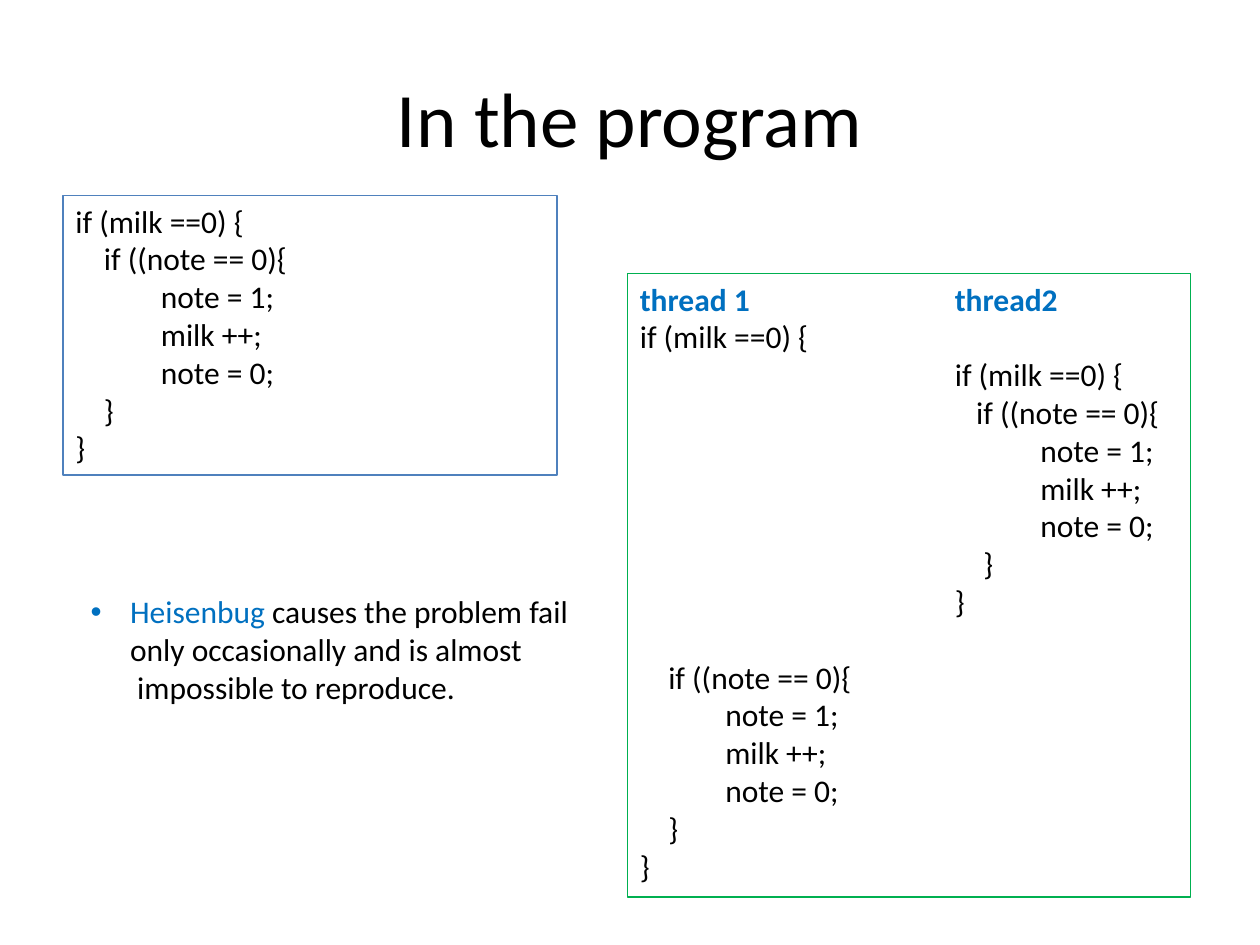
from pptx import Presentation
from pptx import util as u
from pptx.dml.color import RGBColor
from pptx.enum import shapes, text
from pptx.oxml import parse_xml
from pptx.oxml.ns import nsdecls

BLACK = RGBColor(0x00, 0x00, 0x00)
ACCENT = RGBColor(0x00, 0x70, 0xC0)
BLUE = RGBColor(0x4F, 0x81, 0xBD)
GREEN = RGBColor(0x00, 0xB0, 0x50)
SPACE = 4.07
LINE = 21.6
THREAD2 = 180


def write(paragraph, words, size=18, color=BLACK, bold=False, font="Calibri"):
    for number, line in enumerate(words.split("\n")):
        if number:
            paragraph.add_line_break()
        if line:
            run = paragraph.add_run()
            run.text = line
            run.font.name, run.font.size, run.font.bold = font, u.Pt(size), bold
            run.font.color.rgb = color


class Deck:
    """Holds the slide and draws its titles, code boxes and lists."""

    def __init__(self):
        self.file = Presentation()
        self.file.slide_width, self.file.slide_height = u.Pt(720), u.Pt(540)
        self.slide = self.file.slides.add_slide(self.file.slide_layouts[1])

    def place(self, holder, box):
        holder.left, holder.top, holder.width, holder.height = map(u.Pt, box)
        holder.text_frame.auto_size = text.MSO_AUTO_SIZE.NONE
        return holder.text_frame

    def title(self, words, box):
        frame = self.place(self.slide.shapes.title, box)
        frame.vertical_anchor = text.MSO_ANCHOR.MIDDLE
        frame.paragraphs[0].alignment = text.PP_ALIGN.CENTER
        write(frame.paragraphs[0], words, size=44)

    def code(self, lines, box, outline):
        panel = self.slide.shapes.add_shape(
            shapes.MSO_SHAPE.RECTANGLE, *map(u.Pt, box))
        panel.shadow.inherit = False
        panel.fill.background()
        panel.line.color.rgb, panel.line.width = outline, u.Pt(0.75)
        frame = panel.text_frame
        frame.word_wrap = True
        frame.vertical_anchor = text.MSO_ANCHOR.TOP
        for number, (words, indent, before, style) in enumerate(lines):
            line = frame.add_paragraph() if number else frame.paragraphs[0]
            line.alignment = text.PP_ALIGN.LEFT
            line.space_before = u.Pt(before)
            props = line._p.get_or_add_pPr()
            props.set("marL", str(int(u.Pt(indent))))
            if "\t" in words:
                props.append(parse_xml(
                    f'<a:tabLst {nsdecls("a")}>'
                    f'<a:tab pos="{int(u.Pt(THREAD2))}" algn="l"/></a:tabLst>'))
            write(line, words, **style)

    def bullet(self, parts, box):
        frame = self.place(self.slide.placeholders[1], box)
        frame.word_wrap = False
        item = frame.paragraphs[0]
        item.space_before = u.Pt(0)
        props = item._p.get_or_add_pPr()
        props.set("marL", str(int(u.Pt(22.5))))
        props.set("indent", str(int(u.Pt(-22.5))))
        for words, color in parts:
            write(item, words, color=color)

    def save(self):
        self.file.save("out.pptx")


def program(column=0, before=0, inner=4, closing=4):
    outer = ("if (milk ==0) {", 0, 0)
    nested = [("if ((note == 0){", inner, before),
              ("note = 1;\nmilk ++;\nnote = 0;", 12, 0),
              ("}", closing, 0), ("}", 0, 0)]
    return [(words, column + spaces * SPACE, gap, {})
            for words, spaces, gap in [outer] + nested]


milk = program()
thread1 = program(before=2 * LINE - LINE)
thread2 = program(column=THREAD2, inner=3)
heading = ("thread 1\tthread2", 0, 0, {"color": ACCENT, "bold": True})

deck = Deck()
deck.title("In the program", (36, 21.6, 648, 90))
deck.code(milk, (36, 111.6, 282.24, 159.84), BLUE)
deck.code([heading, thread1[0], *thread2, *thread1[1:]],
          (358.56, 156.24, 321.84, 356.4), GREEN)
deck.bullet([("Heisenbug", ACCENT),
             (" causes the problem fail\nonly occasionally and is almost\n"
              " impossible to reproduce.", BLACK)],
            (44.64, 334.8, 294.48, 72.72))
deck.save()
